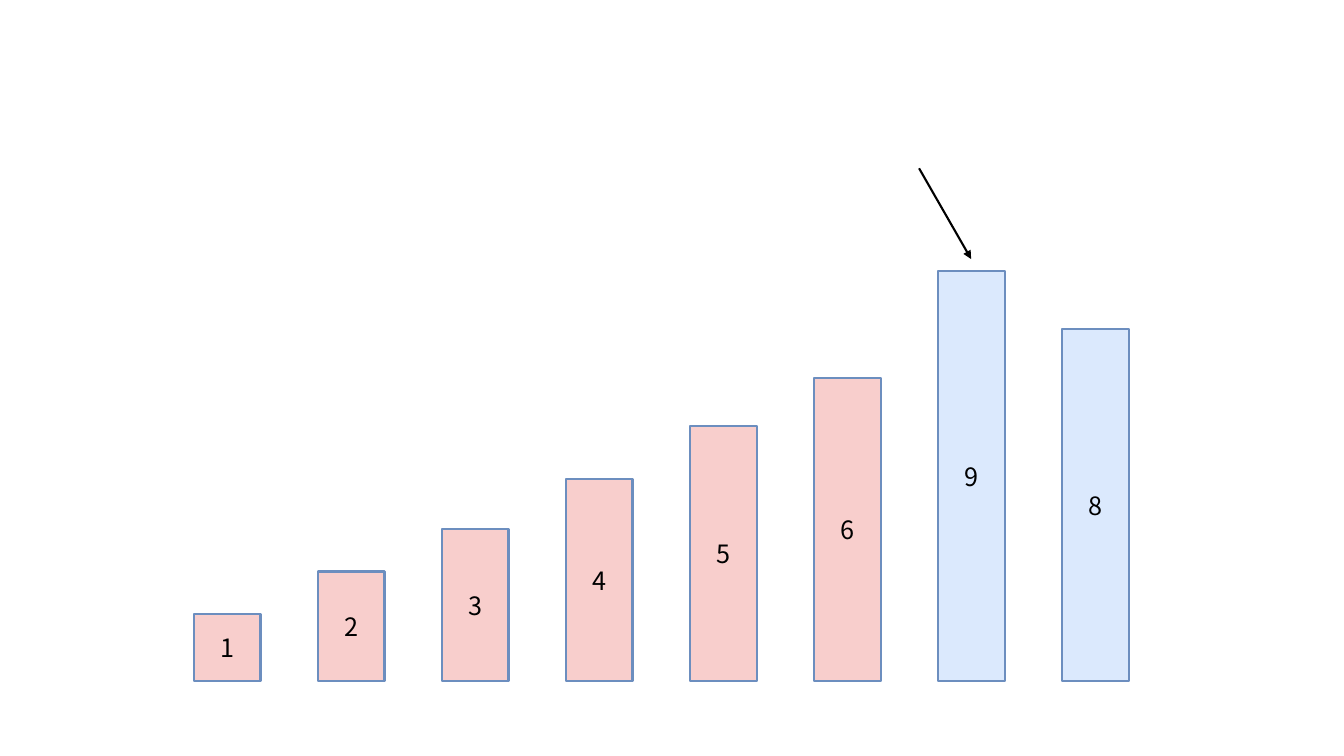
import pptx
import pptx.dml.color
import pptx.enum.shapes
import pptx.enum.text
import pptx.oxml
import pptx.oxml.ns
import pptx.util


def rgb(value):
    return pptx.dml.color.RGBColor.from_string(value)


def write(tf, text, *, size=18, font="Noto Sans CJK SC", color="000000",
          align=pptx.enum.text.PP_ALIGN.CENTER,
          anchor=pptx.enum.text.MSO_ANCHOR.MIDDLE):
    tf.word_wrap = True
    tf.vertical_anchor = anchor
    tf.margin_left = tf.margin_right = 0
    p = tf.paragraphs[0]
    p.alignment = align
    r = p.add_run()
    r.text = text
    r.font.size = pptx.util.Pt(size)
    r.font.name = font
    r.font.color.rgb = rgb(color)


class BarSlide:
    """Columns run right from the first bar; rows rise from the baseline."""
    LEFT, BASELINE = 1.92, 6.76
    COLUMN, ROW = 1.23, 0.5
    BAR_WIDTH = 0.54
    SORTED, UNSORTED = "F8CECC", "DBE9FD"
    OUTLINE, INK = "6C8EBF", "000000"
    LINE_WIDTH = 1.5

    def __init__(self, prs):
        self.s = prs.slides.add_slide(prs.slide_layouts[6])

    def x(self, column):
        return pptx.util.Inches(self.LEFT + column * self.COLUMN)

    def y(self, row):
        return pptx.util.Inches(self.BASELINE - row * self.ROW)

    def outline(self, sp, color):
        sp.line.color.rgb = rgb(color)
        sp.line.width = pptx.util.Pt(self.LINE_WIDTH)

    def bar(self, column, rows, label, fill):
        sp = self.s.shapes.add_shape(
            pptx.enum.shapes.MSO_SHAPE.RECTANGLE, self.x(column), self.y(rows),
            self.x(column + self.BAR_WIDTH) - self.x(column),
            self.y(0) - self.y(rows))
        sp.shadow.inherit = False
        sp.fill.solid()
        sp.fill.fore_color.rgb = rgb(fill)
        self.outline(sp, self.OUTLINE)
        write(sp.text_frame, label, color=self.INK)

    def arrow(self, start, end):
        sp = self.s.shapes.add_connector(
            pptx.enum.shapes.MSO_CONNECTOR.STRAIGHT,
            self.x(start[0]), self.y(start[1]), self.x(end[0]), self.y(end[1]))
        self.outline(sp, self.INK)
        # Arrowhead and shadow removal
        head = pptx.oxml.parse_xml(
            f'<a:tailEnd {pptx.oxml.ns.nsdecls("a")} type="triangle"/>')
        sp.line._get_or_add_ln().append(head)
        sp._element.spPr.append(pptx.oxml.parse_xml(
            f'<a:effectLst {pptx.oxml.ns.nsdecls("a")}/>'))


def main():
    prs = pptx.Presentation()
    prs.slide_width = pptx.util.Inches(13.33)
    prs.slide_height = pptx.util.Inches(7.5)
    slide = BarSlide(prs)

    # Bars: label and height in rows
    bars = [("1", 1.34), ("2", 2.18), ("3", 3.02), ("4", 4.02),
            ("5", 5.06), ("6", 6.02), ("9", 8.14), ("8", 7)]
    sorted_count = 6
    for column, (label, rows) in enumerate(bars):
        fill = slide.SORTED if column < sorted_count else slide.UNSORTED
        slide.bar(column, rows, label, fill)

    # Arrow to the first unsorted bar
    slide.arrow((5.85, 10.18), (sorted_count + slide.BAR_WIDTH / 2, 8.38))

    prs.save("out.pptx")


if __name__ == "__main__":
    main()
